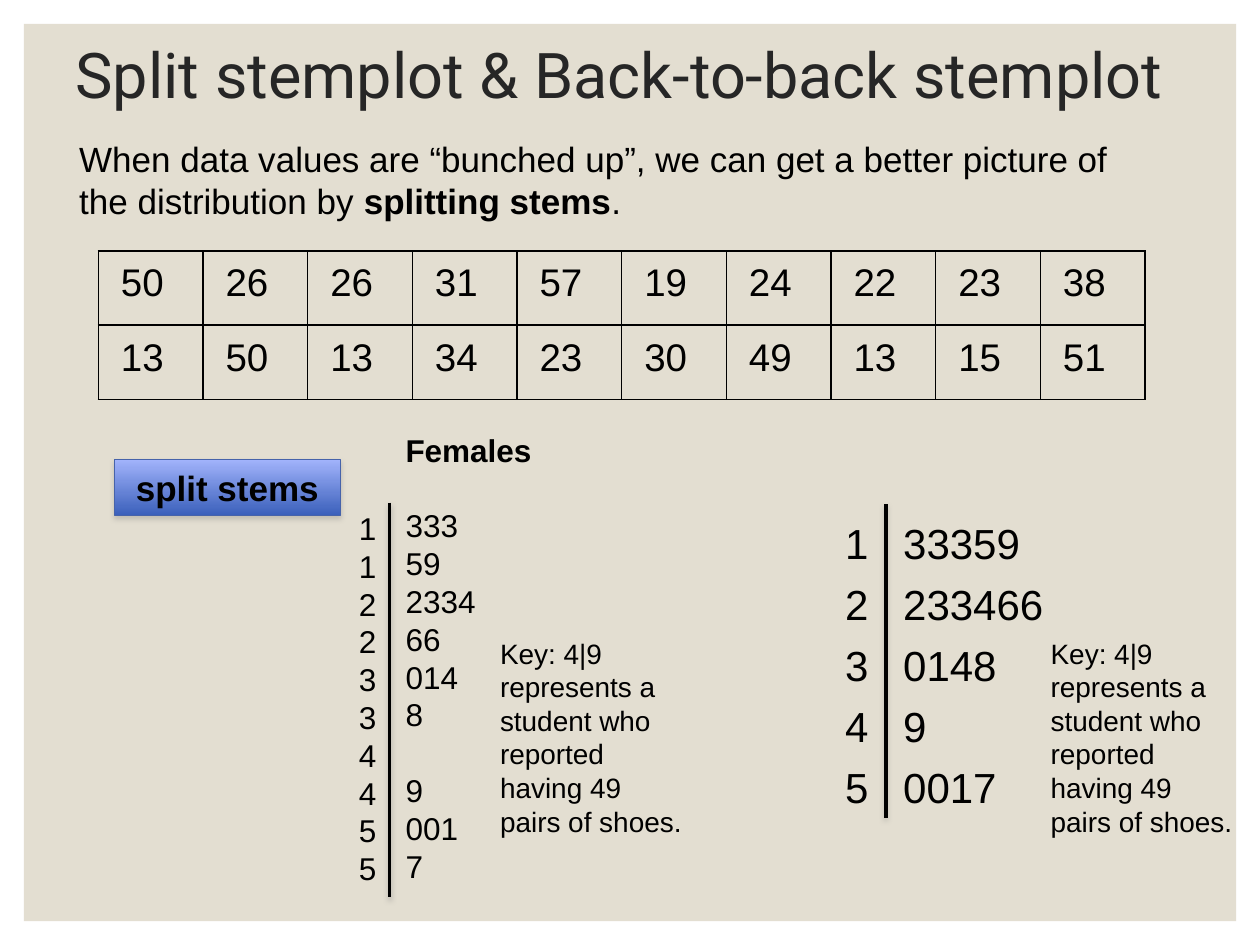
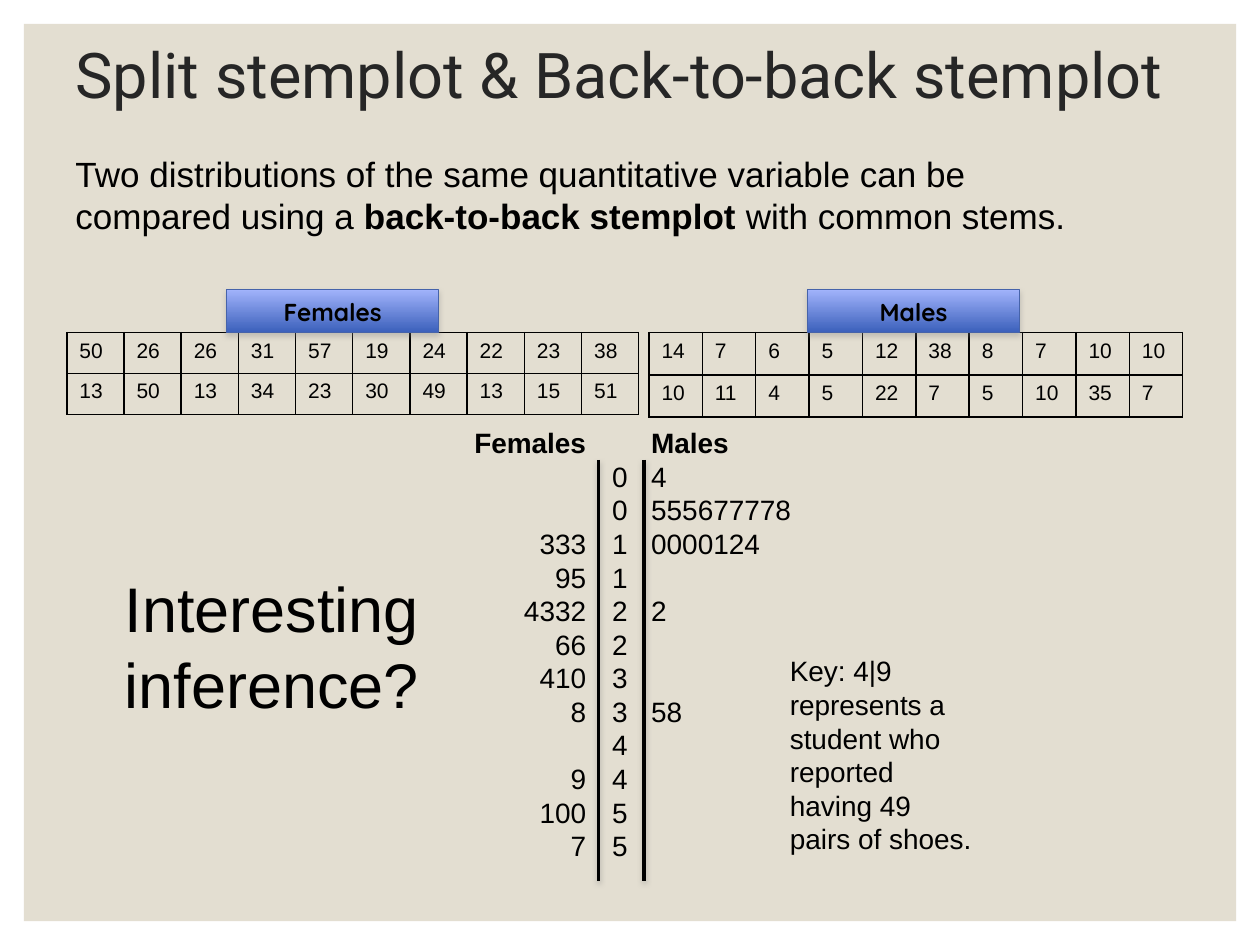
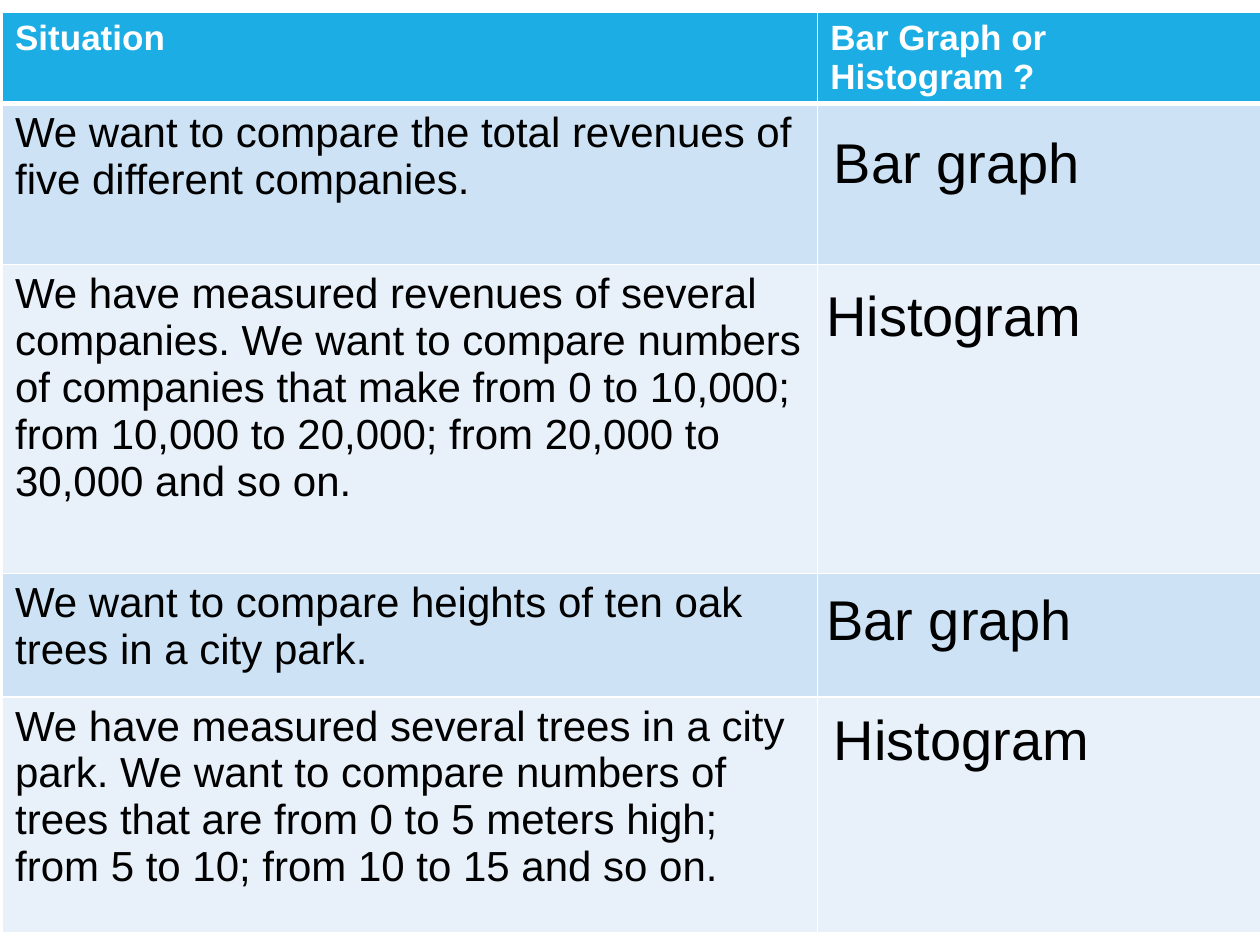
import pptx
import pptx.util
import pptx.dml.color
import pptx.enum.shapes
import pptx.enum.text
import pptx.oxml.ns
from lxml import etree

Inches = pptx.util.Inches
Pt = pptx.util.Pt
qn = pptx.oxml.ns.qn
ALIGN = pptx.enum.text.PP_ALIGN
ANCHOR = pptx.enum.text.MSO_ANCHOR
SHAPE = pptx.enum.shapes.MSO_SHAPE
LINE = pptx.enum.shapes.MSO_CONNECTOR

HUES = {
    "sand": "E3DED1", "title": "262626", "ink": "000000", "white": "FFFFFF",
    "light": "A1B3FB", "deep": "3B60BB", "edge": "4663AA", "shade": "808080",
    "head": "1CADE4", "odd": "CDE3F5", "even": "E8F1FA",
}
LEAD = 1.2

TITLE = "Split stemplot & Back-to-back stemplot"
SPLIT = "When data values are “bunched up”, we can get a better picture of the distribution by *splitting stems*."
BACK = "Two distributions of the same quantitative variable can be compared using a *back-to-back stemplot *with common stems."
KEY = "Key: 4|9 represents a student who reported having 49 pairs of shoes."
GIRLS = [
    [50, 26, 26, 31, 57, 19, 24, 22, 23, 38],
    [13, 50, 13, 34, 23, 30, 49, 13, 15, 51],
]
BOYS = [
    [14, 7, 6, 5, 12, 38, 8, 7, 10, 10],
    [10, 11, 4, 5, 22, 7, 5, 10, 35, 7],
]
STEMS = ["1", "1", "2", "2", "3", "3", "4", "4", "5", "5"]
LEAVES = ["*Females*", None, "333", "59", "2334", "66", "014", "8", None, "9", "001", "7"]
WHOLE = ["1\t33359", "2\t233466", "3\t0148", "4\t9", "5\t0017"]
LEFT = ["*Females*", None, None, "333", "95", "4332", "66", "410", "8", None, "9", "100", "7"]
RIGHT = ["*\tMales*", "0\t4", "0\t555677778", "1\t0000124", "1", "2\t2", "2", "3", "3\t58", "4", "4", "5", "5"]
CASES = [
    ["Situation", "Bar Graph or Histogram ?"],
    ["We want to compare the total revenues of five different companies.", ""],
    ["We have measured revenues of several companies. We want to compare numbers of companies that make from 0 to 10,000; from 10,000 to 20,000; from 20,000 to 30,000 and so on.", ""],
    ["We want to compare heights of ten oak trees in a city park.", ""],
    ["We have measured several trees in a city park. We want to compare numbers of trees that are from 0 to 5 meters high; from 5 to 10; from 10 to 15 and so on.", ""],
]
REPLIES = [
    ("Bar graph", 6.52, 0.96), ("Histogram", 6.46, 2.18),
    ("Bar graph", 6.46, 4.59), ("Histogram", 6.52, 5.54),
]


def hue(name):
    return pptx.dml.color.RGBColor.from_string(HUES[name])


def place(box):
    return [Inches(n) for n in box]


def write(para, text, size, font="Arial", tint="ink", bold=False):
    for i, part in enumerate(text.split("*")):
        if part:
            run = para.add_run()
            run.text = part
            run.font.size = Pt(size)
            run.font.name = font
            run.font.bold = bold or i % 2 == 1
            run.font.color.rgb = hue(tint)


def add_text(slide, box, rows, size, after=0, align=ALIGN.LEFT, tab=None):
    frame = slide.shapes.add_textbox(*place(box)).text_frame
    frame.word_wrap = True
    gap = 0
    para = None
    for row in rows:
        if row is None:
            gap += LEAD * size
            continue
        para = frame.add_paragraph() if para else frame.paragraphs[0]
        if tab:
            stops = etree.SubElement(para._p.get_or_add_pPr(), qn("a:tabLst"))
            etree.SubElement(stops, qn("a:tab"), pos=str(Inches(tab)), algn="l")
        para.alignment = align
        para.line_spacing = Pt(LEAD * size)
        para.space_before = Pt(gap)
        para.space_after = Pt(after)
        write(para, row, size)
        gap = 0


def cast(shape, alpha):
    effect = etree.SubElement(shape.element.spPr, qn("a:effectLst"))
    shade = etree.SubElement(
        effect, qn("a:outerShdw"), blurRad=str(Pt(3.1)), dist=str(Pt(1.7)),
        dir="5400000", rotWithShape="0")
    tint = etree.SubElement(shade, qn("a:srgbClr"), val=HUES["shade"])
    etree.SubElement(tint, qn("a:alpha"), val=str(alpha * 1000))


def add_rule(slide, x, top, end):
    rule = slide.shapes.add_connector(LINE.STRAIGHT, *place((x, top, x, end)))
    rule.line.color.rgb = hue("ink")
    rule.line.width = Pt(2)
    cast(rule, 38)


def add_tag(slide, box, text, size, font):
    tag = slide.shapes.add_shape(SHAPE.RECTANGLE, *place(box))
    tag.fill.gradient()
    tag.fill.gradient_angle = 270
    for stop, name in zip(tag.fill.gradient_stops, ("light", "deep")):
        stop.color.rgb = hue(name)
    tag.line.color.rgb = hue("edge")
    tag.line.width = Pt(0.75)
    cast(tag, 35)
    tag.text_frame.vertical_anchor = ANCHOR.MIDDLE
    para = tag.text_frame.paragraphs[0]
    para.alignment = ALIGN.CENTER
    write(para, text, size, font, bold=True)


def edge(cell, tint, base=1):
    props = cell._tc.get_or_add_tcPr()
    for i, side in enumerate("LRTB"):
        width = base if side == "B" else 1
        line = etree.Element(qn("a:ln" + side), w=str(Pt(width)))
        fill = etree.SubElement(line, qn("a:solidFill"))
        etree.SubElement(fill, qn("a:srgbClr"), val=HUES[tint])
        props.insert(i, line)


def add_grid(slide, box, rows, wide, tall):
    grid = slide.shapes.add_table(len(rows), len(rows[0]), *place(box)).table
    grid.first_row = grid.horz_banding = False
    for col, size in zip(grid.columns, wide):
        col.width = Inches(size)
    for row, size in zip(grid.rows, tall):
        row.height = Inches(size)
    return grid


def add_data(slide, box, rows, size, inset=None):
    count = len(rows[0])
    grid = add_grid(slide, box, rows, [box[2] / count] * count, [box[3] / len(rows)] * len(rows))
    for r, row in enumerate(rows):
        for c, value in enumerate(row):
            cell = grid.cell(r, c)
            cell.fill.background()
            if inset:
                cell.margin_left = cell.margin_right = Inches(inset)
                cell.margin_top = cell.margin_bottom = Inches(inset / 2)
            write(cell.text_frame.paragraphs[0], str(value), size)
            edge(cell, "ink")


def add_band(deck, slide):
    band = slide.shapes.add_shape(SHAPE.RECTANGLE, *place((0.19, 0.19, 9.62, 7.12)))
    band.shadow.inherit = False
    band.fill.solid()
    band.fill.fore_color.rgb = hue("sand")
    band.line.fill.background()
    deck.slide_master.shapes.element.insert(2, band.element)


def add_page(deck):
    slide = deck.slides.add_slide(deck.slide_layouts[5])
    title = slide.shapes.title
    title.left, title.top, title.width, title.height = place((0.5, 0.3, 9, 0.51))
    frame = title.text_frame
    frame.word_wrap = True
    frame.auto_size = pptx.enum.text.MSO_AUTO_SIZE.NONE
    frame.vertical_anchor = ANCHOR.TOP
    para = frame.paragraphs[0]
    para.alignment = ALIGN.LEFT
    para.line_spacing = 0.9
    write(para, TITLE, 36, "Roboto", "title")
    return slide


def add_key(slide, x, y):
    add_text(slide, (x, y, 1.68, 1.72), [KEY], 16)


def split_page(deck):
    slide = add_page(deck)
    add_band(deck, slide)
    add_text(slide, (0.53, 1.04, 8.55, 0.77), [SPLIT], 20)
    add_data(slide, (0.78, 1.99, 8.31, 1.18), GIRLS, 22, 0.18)
    add_text(slide, (2.75, 3.99, 0.34, 3.13), STEMS, 18)
    add_rule(slide, 3.09, 3.99, 7.12)
    add_text(slide, (3.12, 3.37, 1.68, 3.74), LEAVES, 18)
    add_tag(slide, (0.91, 3.65, 1.79, 0.44), "split stems", 20, "Arial")
    add_rule(slide, 7.03, 4, 6.49)
    add_text(slide, (6.61, 4.06, 2.02, 2.46), WHOLE, 24, after=6, tab=0.46)
    for x in (3.87, 8.24):
        add_key(slide, x, 5)


def back_page(deck):
    slide = add_page(deck)
    add_text(slide, (0.5, 1.16, 8.55, 0.77), [BACK], 20)
    add_data(slide, (0.53, 2.64, 4.54, 0.65), GIRLS, 12)
    add_data(slide, (5.15, 2.64, 4.24, 0.67), BOYS, 12)
    for x, name in ((1.8, "Females"), (6.41, "Males")):
        add_tag(slide, (x, 2.3, 1.68, 0.34), name, 14, "Quicksand")
    add_text(slide, (4.76, 3.33, 1.65, 3.6), RIGHT, 16, tab=0.31)
    add_text(slide, (3.1, 3.33, 1.65, 3.6), LEFT, 16, align=ALIGN.RIGHT)
    for x in (4.75, 5.11):
        add_rule(slide, x, 3.65, 6.99)
    add_key(slide, 6.17, 5.14)
    add_text(slide, (0.89, 4.47, 2.59, 1.31), ["Interesting inference?"], 36)


def case_page(deck):
    slide = deck.slides.add_slide(deck.slide_layouts[6])
    grid = add_grid(slide, (0.02, 0.1, 10, 7.27), CASES, (6.47, 3.53), (0.69, 1.28, 2.45, 0.98, 1.87))
    for r, row in enumerate(CASES):
        head = r == 0
        for c, text in enumerate(row):
            cell = grid.cell(r, c)
            cell.fill.solid()
            cell.fill.fore_color.rgb = hue("head" if head else "odd" if r % 2 else "even")
            write(cell.text_frame.paragraphs[0], text, 20 if head else 24,
                  tint="white" if head else "ink", bold=head)
            edge(cell, "white", 3 if head else 1)
    for text, x, y in REPLIES:
        add_text(slide, (x, y, 2.37, 0.64), [text], 32)


def main():
    deck = pptx.Presentation()
    deck.slide_width, deck.slide_height = place((10, 7.5))
    split_page(deck)
    back_page(deck)
    case_page(deck)
    deck.save("out.pptx")


if __name__ == "__main__":
    main()
